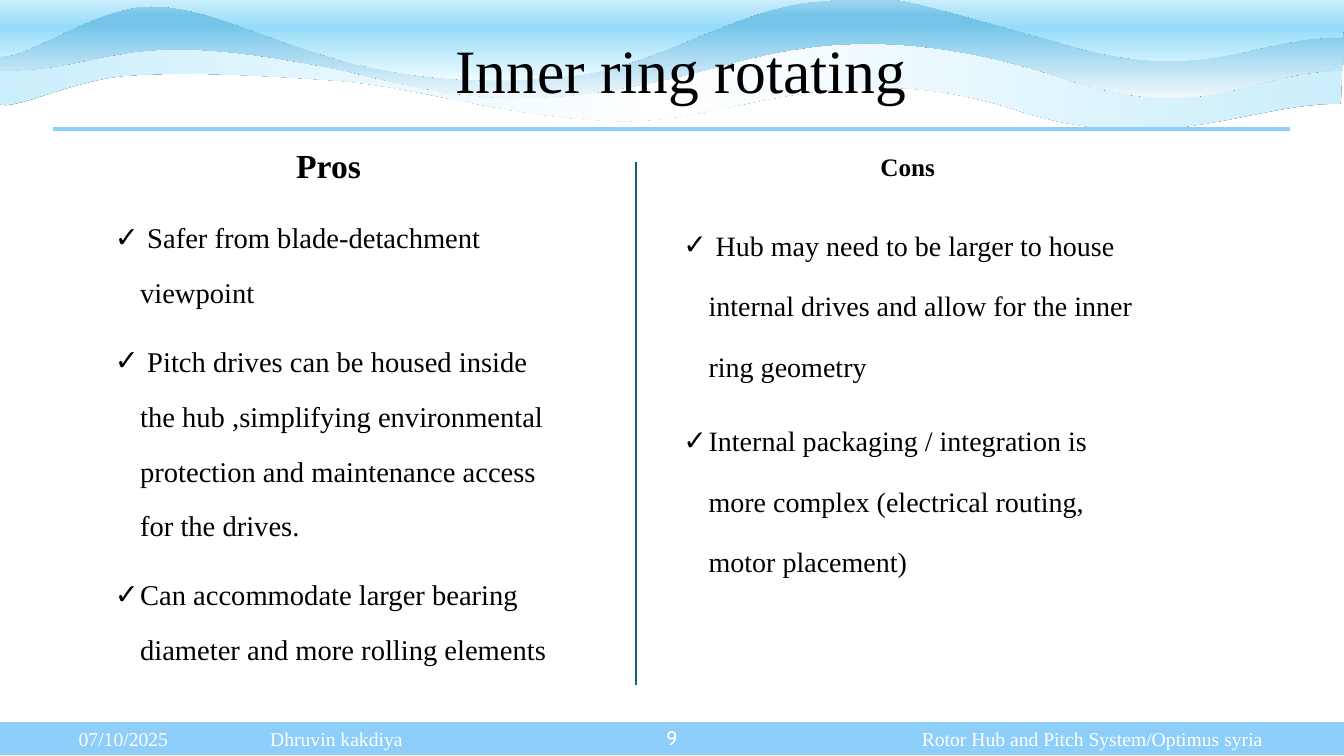
from lxml.etree import SubElement as Sub
from pptx import Presentation
from pptx.dml.color import RGBColor as RGB
from pptx.enum.shapes import MSO_CONNECTOR as Conn, MSO_SHAPE as Shape
from pptx.enum.text import MSO_ANCHOR as Anchor, MSO_AUTO_SIZE as Auto, PP_ALIGN as Align
from pptx.oxml import parse_xml
from pptx.oxml.ns import nsdecls, qn
from pptx.util import Inches, Pt

HUE = {"ink": "000000", "white": "FFFFFF", "sky": "8ECEFA", "teal": "156082",
       "ice": "CAEEFB", "frost": "EFFCFF", "aqua": "96DCF8",
       "mist": "F0F8FD", "blue": "74C4E9", "pale": "A2D8F0"}
SERIF = "Times New Roman"

TITLE = " Inner ring rotating"
PROS = [" Safer from blade-detachment viewpoint",
        " Pitch drives can be housed inside the hub ,simplifying environmental "
        "protection and maintenance access for the drives.",
        "Can accommodate larger bearing diameter and more rolling elements"]
CONS = [" Hub may need to be larger to house internal drives and allow for the inner ring geometry",
        "Internal packaging / integration is more complex (electrical routing, motor placement)"]
FOOT = ["07/10/2025", "Dhruvin kakdiya", "Rotor Hub and Pitch System/Optimus syria"]
PAGE = "9"

# Each wave: place, lower edge as chained Bezier points from right to left, top points, gradient
WAVES = [
    {"place": (-0.04, 0.3, 13.36, 0.98),
     "edge": [(13.3, 1.03), (12.37, 1.02), (11.52, 1.59), (9.99, 1.06),
              (8.27, 0.54), (7.21, 1.24), (6.1, 1.2), (4.99, 1.16), (4.21, 0.87), (3.35, 0.8),
              (2.49, 0.74), (1.83, 0.71), (1.27, 0.75), (0.71, 0.79), (0.14, 1.11), (-0.02, 1.03),
              (-0.02, 0.8), (-0.04, 0.53), (-0.04, 0.3)],
     "top": [(3.13, 0.31), (6.52, 0.34), (9.41, 0.32), (13.32, 0.34)],
     "close": [(13.32, 0.55), (13.32, 0.8), (13.3, 1.03)],
     "stops": [(0, "ice"), (50, "white"), (100, "ice")], "angle": 0},
    {"place": (0, -0.01, 13.33, 0.98),
     "edge": [(13.32, 0.7), (12.39, 0.7), (11.96, 1.28), (10.44, 0.74),
              (8.71, 0.2), (7.73, 0.5), (7.06, 0.68), (5.28, 1.14), (4.59, 0.98), (3.46, 0.71),
              (1.13, 0.22), (1.15, 0.7), (0, 0.7), (0, 0.47), (0.01, 0.24), (0.01, 0)],
     "top": [(3.13, 0.01), (6.54, -0.01), (9.46, 0), (13.33, 0.04)],
     "close": [(13.33, 0.26), (13.34, 0.47), (13.32, 0.7)],
     "stops": [(0, "pale"), (17, "blue"), (26, "blue"), (100, "mist")], "angle": 90},
    {"place": (-0.03, -0.26, 13.36, 1.06),
     "edge": [(13.32, 0.37), (12.39, 0.36), (11.96, 0.88), (10.44, 0.4),
              (8.72, -0.08), (8.91, -0.05), (8.13, 0.01), (7.35, 0.06), (6.53, 0.64), (5.76, 0.74),
              (4.98, 0.84), (4.24, 0.81), (3.47, 0.62), (2.58, 0.38), (2.07, 0.06), (1.5, 0.06),
              (0.92, 0.06), (0.22, 0.63), (-0.03, 0.55), (-0.02, 0.34), (0.01, -0.04), (0.01, -0.25)],
     "top": [(3.13, -0.24), (6.54, -0.26), (9.46, -0.25), (13.33, -0.22)],
     "close": [(13.33, -0.03), (13.34, 0.16), (13.32, 0.37)],
     "stops": [(0, "white"), (50, "aqua"), (100, "frost")], "angle": 90},
]
RULES = [((0.53, 1.28), (12.8, 1.28), "sky", 3), ((6.31, 1.61), (6.31, 6.8), "teal", 1.5)]

# Placeholder index: place, lines, text format, paragraph format, anchor, bullets
BLOCKS = {
    0: ((0.93, 0, 11.5, 1.45), [TITLE], {"size": Pt(44)},
        {"alignment": Align.CENTER, "line_spacing": 0.9}, Anchor.MIDDLE, False),
    2: ((1.04, 1.93, 4.66, 4.65), PROS, {"size": Pt(20.4)},
        {"line_spacing": 1.6}, Anchor.TOP, True),
    1: ((1.83, 1.39, 2.86, 0.81), ["Pros"], {"size": Pt(24), "bold": True},
        {"alignment": Align.CENTER}, Anchor.TOP, False),
    3: ((7.24, 1.45, 3.53, 0.4), ["Cons"], {"size": Pt(18), "bold": True},
        {"alignment": Align.CENTER}, Anchor.TOP, False),
    4: ((6.68, 1.95, 4.66, 4.65), CONS, {"size": Pt(20)},
        {"line_spacing": 1.8}, Anchor.TOP, True),
}


def assign(obj, values):
    for key, value in values.items():
        setattr(obj, key, value)


def style(font, hue, **values):
    assign(font, values)
    font.color.rgb = RGB.from_string(HUE[hue])


def wave(slide, place, edge, top, close, stops, angle):
    left, high, wide, tall = map(Inches, place)
    pen = slide.shapes.build_freeform(left, high, scale=1.0)
    pen.add_line_segments([(left + wide, high + tall)], close=True)
    form = pen.convert_to_shape()
    form.shadow.inherit = False
    form.line.fill.background()
    props = form.element.spPr
    glow = Sub(props.find(qn("a:effectLst")), qn("a:outerShdw"))
    Sub(glow, qn("a:srgbClr"), val=HUE["ink"])

    track = props.find(".//" + qn("a:path"))
    for part in list(track):
        track.remove(part)

    def step(kind, spots):
        node = Sub(track, qn("a:" + kind))
        for x, y in spots:
            Sub(node, qn("a:pt"), x=str(Inches(x) - left), y=str(Inches(y) - high))

    step("moveTo", edge[:1])
    for i in range(1, len(edge), 3):
        step("cubicBezTo", edge[i:i + 3])
    for spot in top:
        step("lnTo", [spot])
    step("cubicBezTo", close)
    step("close", [])

    marks = "".join(f'<a:gs pos="{at * 1000}"><a:srgbClr val="{HUE[hue]}"/></a:gs>'
                    for at, hue in stops)
    grad = parse_xml(f'<a:gradFill {nsdecls("a")} rotWithShape="1"><a:gsLst>{marks}</a:gsLst>'
                     f'<a:lin ang="{angle * 60000}" scaled="0"/></a:gradFill>')
    props.find(qn("a:custGeom")).addnext(grad)


def rule(slide, start, end, hue, width):
    line = slide.shapes.add_connector(Conn.STRAIGHT, *map(Inches, start + end))
    line.line.color.rgb = RGB.from_string(HUE[hue])
    line.line.width = Pt(width)
    Sub(line.element.spPr, qn("a:effectLst"))


def footer(slide):
    bar = slide.shapes.add_shape(Shape.RECTANGLE, *map(Inches, (-0.01, 7.15, 13.35, 0.35)))
    bar.shadow.inherit = False
    bar.fill.solid()
    bar.fill.fore_color.rgb = RGB.from_string(HUE["sky"])
    bar.line.color.rgb = RGB.from_string(HUE["white"])
    bar.line.width = Pt(1.5)
    frame = bar.text_frame
    assign(frame, {"margin_left": Inches(0.79), "margin_right": 0, "margin_top": 0,
                   "margin_bottom": 0, "vertical_anchor": Anchor.MIDDLE})
    para = frame.paragraphs[0]
    para.text = "\t".join(FOOT)
    para.alignment = Align.LEFT
    tabs = Sub(para._p.get_or_add_pPr(), qn("a:tabLst"))
    for at, side in ((1.9, "l"), (11.75, "r")):
        Sub(tabs, qn("a:tab"), pos=str(Inches(at)), algn=side)
    style(para.font, "white", name=SERIF, size=Pt(14))

    box = slide.shapes.add_textbox(*map(Inches, (6.51, 7.12, 0.31, 0.4)))
    box.text_frame.word_wrap = True
    box.text_frame.vertical_anchor = Anchor.MIDDLE
    para = box.text_frame.paragraphs[0]
    para.text = PAGE
    para.alignment = Align.RIGHT
    style(para.font, "white", name="Cabin", size=Pt(14))


def block(holder, place, lines, face, form, anchor, ticks):
    assign(holder, dict(zip(("left", "top", "width", "height"), map(Inches, place))))
    frame = holder.text_frame
    frame.text = "\n".join(lines)
    assign(frame, {"word_wrap": True, "auto_size": Auto.NONE, "vertical_anchor": anchor})
    for i, para in enumerate(frame.paragraphs):
        if ticks:
            props = para._p.get_or_add_pPr()
            props.set("marL", str(Inches(0.25)))
            props.set("indent", str(Inches(-0.25)))
            Sub(props, qn("a:buChar"), char="✓")
        assign(para, {**form, "space_before": Pt(10 if i else 0)})
        for run in para.runs:
            style(run.font, "ink", name=SERIF, **face)


def main():
    deck = Presentation()
    deck.slide_width, deck.slide_height = Inches(40 / 3), Inches(7.5)
    slide = deck.slides.add_slide(deck.slide_layouts.get_by_name("Comparison"))
    for item in WAVES:
        wave(slide, **item)
    footer(slide)
    for item in RULES:
        rule(slide, *item)
    for key, item in BLOCKS.items():
        holder = slide.placeholders[key]
        block(holder, *item)
        slide.shapes.element.append(holder.element)  # bring text in front of the waves
    deck.save("out.pptx")


if __name__ == "__main__":
    main()
